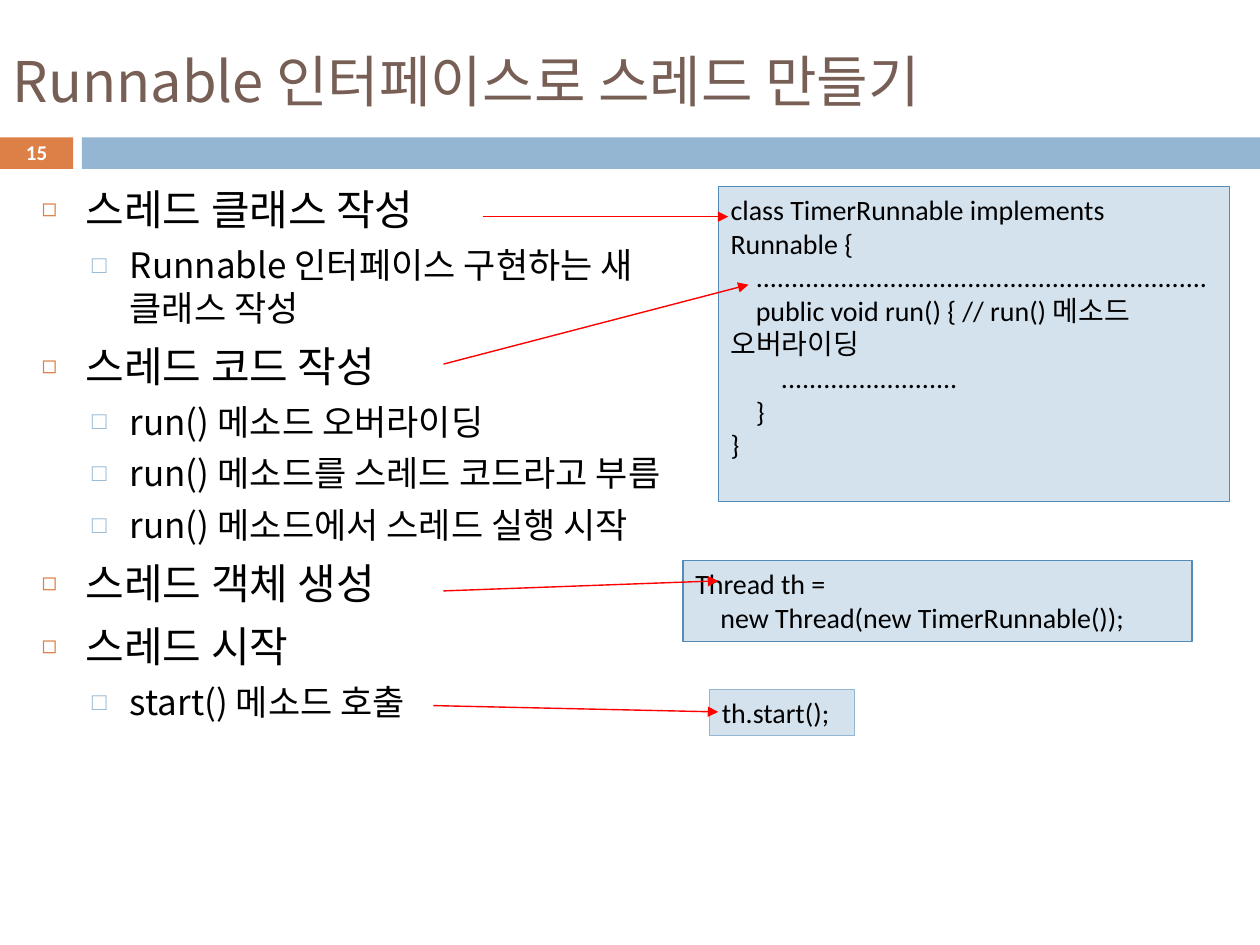
import pptx
import pptx.util
import pptx.dml.color
import pptx.enum.shapes
import pptx.enum.text
import pptx.oxml.ns
from lxml import etree
from pptx.util import Inches


class Theme:
    """Colours, fonts and type sizes of the slide."""
    orange = "DD8047"
    blue = "94B6D2"
    dark_blue = "558BB8"
    pale_blue = "D4E2ED"
    brown = "775F55"
    red = "FF0000"
    black = "000000"
    white = "FFFFFF"
    korean = "Noto Sans CJK KR"
    latin = "Calibri"
    title = dict(size=32, name=korean, color=brown)
    code = dict(size=16, name=latin, color=black)
    number = dict(size=12, name=latin, color=white, bold=True)
    # One entry per list level
    levels = [
        dict(text=dict(size=24, name=korean, color=black), before=7,
             margin=0.35, hanging=0.35, mark="◻", mark_color=orange, mark_size=60),
        dict(text=dict(size=20, name=korean, color=black), before=5.5,
             margin=0.7, hanging=0.3, mark="□", mark_color=blue, mark_size=70),
    ]


def rgb(color):
    return pptx.dml.color.RGBColor.from_string(color)


def add_element(parent, tag, **attributes):
    element = etree.SubElement(parent, pptx.oxml.ns.qn(tag))
    for name, value in attributes.items():
        element.set(name, str(value))
    return element


class SlideBuilder:
    def __init__(self, slide, theme):
        self.slide = slide
        self.theme = theme

    def add_text(self, para, text, style):
        span = para.add_run()
        span.text = text
        values = dict(style)
        span.font.color.rgb = rgb(values.pop("color"))
        values["size"] = pptx.util.Pt(values["size"])
        for name, value in values.items():
            setattr(span.font, name, value)
        add_element(span.font._element, "a:ea", typeface=self.theme.korean)

    def place(self, shape, left, top, width, height):
        position = dict(left=left, top=top, width=width, height=height)
        for name, value in position.items():
            setattr(shape, name, Inches(value))

    def frame(self, shape, anchor):
        frame = shape.text_frame
        settings = dict(word_wrap=True, vertical_anchor=anchor,
                        auto_size=pptx.enum.text.MSO_AUTO_SIZE.NONE)
        for name, value in settings.items():
            setattr(frame, name, value)
        return frame

    def title(self, text, *position):
        title = self.slide.shapes.title
        self.place(title, *position)
        para = self.frame(title, pptx.enum.text.MSO_ANCHOR.MIDDLE).paragraphs[0]
        para.alignment = pptx.enum.text.PP_ALIGN.LEFT
        self.add_text(para, text, self.theme.title)

    def bullets(self, items, *position):
        body = self.slide.placeholders[1]
        self.place(body, *position)
        frame = self.frame(body, pptx.enum.text.MSO_ANCHOR.TOP)
        for index, (level, text) in enumerate(items):
            look = self.theme.levels[level]
            para = frame.add_paragraph() if index else frame.paragraphs[0]
            para.level = level
            properties = para._p.get_or_add_pPr()
            properties.set("marL", str(Inches(look["margin"])))
            properties.set("indent", str(-Inches(look["hanging"])))
            color = add_element(properties, "a:buClr")
            add_element(color, "a:srgbClr", val=look["mark_color"])
            add_element(properties, "a:buSzPct", val=look["mark_size"] * 1000)
            add_element(properties, "a:buChar", char=look["mark"])
            para.space_before = pptx.util.Pt(look["before"] if index else 0)
            self.add_text(para, text, look["text"])

    def rectangle(self, fill, *position, line=None):
        box = self.slide.shapes.add_shape(
            pptx.enum.shapes.MSO_SHAPE.RECTANGLE, *map(Inches, position))
        box.shadow.inherit = False
        box.fill.solid()
        box.fill.fore_color.rgb = rgb(fill)
        if line:
            box.line.color.rgb = rgb(line)
            box.line.width = pptx.util.Pt(0.75)
        else:
            box.line.fill.background()
        return box

    def code(self, lines, *position, line):
        box = self.rectangle(self.theme.pale_blue, *position, line=line)
        frame = self.frame(box, pptx.enum.text.MSO_ANCHOR.TOP)
        for index, text in enumerate(lines):
            para = frame.add_paragraph() if index else frame.paragraphs[0]
            para.alignment = pptx.enum.text.PP_ALIGN.LEFT
            tabs = add_element(para._p.get_or_add_pPr(), "a:tabLst")
            for stop in (1, 2):
                add_element(tabs, "a:tab", pos=Inches(0.2 * stop), algn="l")
            self.add_text(para, text, self.theme.code)

    def arrow(self, *ends):
        arrow = self.slide.shapes.add_connector(
            pptx.enum.shapes.MSO_CONNECTOR.STRAIGHT, *map(Inches, ends))
        arrow.line.color.rgb = rgb(self.theme.red)
        arrow.line.width = pptx.util.Pt(0.79)
        add_element(arrow.line._get_or_add_ln(), "a:tailEnd", type="triangle")
        add_element(arrow._element.spPr, "a:effectLst")

    def page_number(self, text, *position):
        box = self.slide.shapes.add_textbox(*map(Inches, position))
        para = self.frame(box, pptx.enum.text.MSO_ANCHOR.MIDDLE).paragraphs[0]
        para.alignment = pptx.enum.text.PP_ALIGN.CENTER
        para.line_spacing = 0.8
        self.add_text(para, text, self.theme.number)


def main():
    deck = pptx.Presentation()
    deck.slide_width, deck.slide_height = Inches(10), Inches(7.5)
    theme = Theme()
    page = SlideBuilder(deck.slides.add_slide(deck.slide_layouts[1]), theme)

    # Header
    page.rectangle(theme.orange, 0, 1.09, 0.58, 0.25)
    page.rectangle(theme.blue, 0.65, 1.09, 9.35, 0.25)
    page.title("Runnable 인터페이스로 스레드 만들기", 0, 0.25, 10, 0.77)
    page.page_number("15", 0, 1.09, 0.58, 0.27)

    # Steps
    page.bullets([
        (0, "스레드 클래스 작성"),
        (1, "Runnable 인터페이스 구현하는 새 클래스 작성"),
        (0, "스레드 코드 작성"),
        (1, "run() 메소드 오버라이딩"),
        (1, "run() 메소드를 스레드 코드라고 부름"),
        (1, "run() 메소드에서 스레드 실행 시작"),
        (0, "스레드 객체 생성"),
        (0, "스레드 시작"),
        (1, "start() 메소드 호출"),
    ], 0.23, 1.41, 5.5, 5.78)

    # Code for each step
    page.code([
        "class TimerRunnable implements Runnable {",
        "\t" + "." * 64,
        "\tpublic void run() { // run() 메소드 오버라이딩",
        "\t\t" + "." * 25,
        "\t}",
        "}",
    ], 5.7, 1.48, 4.06, 2.5, line=theme.dark_blue)
    page.code(["Thread th =", "\tnew Thread(new TimerRunnable());"],
              5.42, 4.45, 4.04, 0.64, line=theme.dark_blue)
    page.code(["th.start();"], 5.63, 5.47, 1.15, 0.37, line=theme.blue)

    # Arrows from steps to code
    for ends in [(3.83, 1.72, 5.78, 1.72), (3.52, 2.89, 5.94, 2.26),
                 (3.52, 4.69, 5.7, 4.61), (3.44, 5.6, 5.7, 5.65)]:
        page.arrow(*ends)

    deck.save("out.pptx")


if __name__ == "__main__":
    main()
